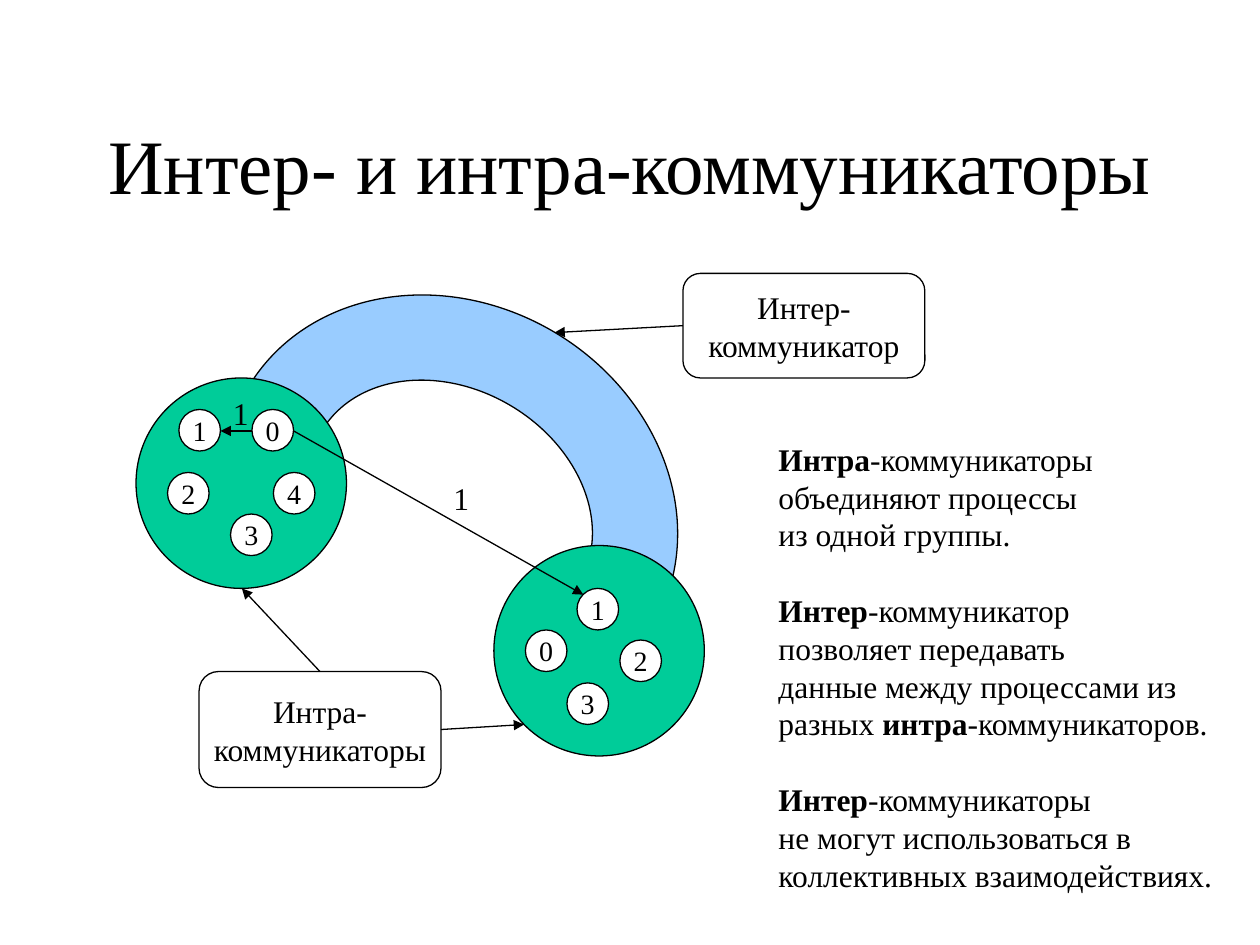
"""Build the slide on inter- and intra-communicators."""
from pptx import Presentation
from pptx.dml.color import RGBColor
from pptx.enum import shapes, text
from pptx.oxml import ns, xmlchemy
from pptx.util import Inches, Pt

FONT = "Times New Roman"
BLACK, WHITE, GREEN, BLUE = "000000", "FFFFFF", "00CC99", "99CCFF"
GROUP_SIZE, PROCESS_SIZE = 1.67, 0.33

TITLE = "Интер- и интра-коммуникаторы"
GROUPS = [(3.92, 4.33), (1.08, 3)]
PROCESSES = [
    ("0", 2, 3.25), ("1", 1.42, 3.25), ("2", 1.33, 3.75),
    ("3", 1.83, 4.08), ("4", 2.17, 3.75),
    ("1", 4.58, 4.67), ("0", 4.17, 5), ("3", 4.5, 5.42), ("2", 4.92, 5.08),
]
CALLOUTS = [
    ("Интра-\vкоммуникаторы", (1.58, 5.33, 1.92, 0.92),
     [(3, (4.16, 5.75)), (0, (1.92, 4.67))]),
    ("Интер-\vкоммуникатор", (5.42, 2.17, 1.92, 0.83), [(1, (4.4, 2.64))]),
]
MESSAGES = [((2, 3.42), (1.75, 3.42)), ((2.33, 3.42), (4.63, 4.72))]
MESSAGE_LABELS = [("1", 3.5, 3.75), ("1", 1.75, 3.08)]
NOTES = [
    [("Интра", True),
     ("-коммуникаторы\vобъединяют процессы\vиз одной группы.", False)],
    [("Интер", True),
     ("-коммуникатор\vпозволяет передавать\vданные между процессами из\vразных ", False),
     ("интра", True), ("-коммуникаторов.", False)],
    [("Интер", True),
     ("-коммуникаторы\vне могут использоваться в\vколлективных взаимодействиях.", False)],
]


def color(value):
    return RGBColor.from_string(value)


def style_run(run, size, bold=False):
    run.font.name, run.font.size, run.font.bold = FONT, Pt(size), bold
    run.font.color.rgb = color(BLACK)


def write(shape, words, size, align=text.PP_ALIGN.CENTER,
          anchor=text.MSO_ANCHOR.MIDDLE, wrap=False):
    frame = shape.text_frame
    frame.word_wrap, frame.vertical_anchor = wrap, anchor
    frame.text = words
    paragraph = frame.paragraphs[0]
    paragraph.alignment = align
    for run in paragraph.runs:
        style_run(run, size)


def outline(line):
    line.color.rgb, line.width = color(BLACK), Pt(0.75)


def add_figure(slide, kind, box, fill=None):
    figure = slide.shapes.add_shape(kind, *map(Inches, box))
    figure.shadow.inherit = False
    if fill:
        figure.fill.solid()
        figure.fill.fore_color.rgb = color(fill)
    else:
        figure.fill.background()
    outline(figure.line)
    return figure


def add_arrow(slide, start, end):
    arrow = slide.shapes.add_connector(
        shapes.MSO_CONNECTOR.STRAIGHT, *map(Inches, (*start, *end)))
    outline(arrow.line)
    tail = xmlchemy.OxmlElement("a:tailEnd")
    tail.set("type", "triangle")
    properties = arrow.element.spPr
    properties.find(ns.qn("a:ln")).append(tail)
    properties.append(xmlchemy.OxmlElement("a:effectLst"))
    return arrow


def add_notes(slide):
    frame = slide.shapes.add_textbox(*map(Inches, (6.08, 4.08, 3.75, 2.42))).text_frame
    frame.word_wrap, frame.vertical_anchor = False, text.MSO_ANCHOR.MIDDLE
    for index, parts in enumerate(NOTES):
        paragraph = frame.add_paragraph() if index else frame.paragraphs[0]
        if index:
            paragraph.space_before = Pt(21.6)
        for words, bold in parts:
            for row, piece in enumerate(words.split("\v")):
                if row:
                    paragraph.add_line_break()
                run = paragraph.add_run()
                run.text = piece
                style_run(run, 18, bold)


def main():
    deck = Presentation()
    deck.slide_width, deck.slide_height = Inches(10), Inches(7.5)
    slide = deck.slides.add_slide(deck.slide_layouts[6])
    kinds = shapes.MSO_SHAPE

    bridge = add_figure(slide, kinds.BLOCK_ARC, (1.71, 2.41, 3.73, 3.23), BLUE)
    bridge.rotation = 30.6
    for index, value in enumerate((93.51, 14.49, 0.21)):
        bridge.adjustments[index] = value
    for left, top in GROUPS:
        add_figure(slide, kinds.OVAL, (left, top, GROUP_SIZE, GROUP_SIZE), GREEN)

    title = slide.shapes.add_textbox(*map(Inches, (0.75, 0.67, 8.5, 1.25)))
    write(title, TITLE, 44, wrap=True)

    for words, box, targets in CALLOUTS:
        callout = add_figure(slide, kinds.ROUNDED_RECTANGLE, box)
        write(callout, words, 18)
        for side, target in targets:
            add_arrow(slide, box[:2], target).begin_connect(callout, side)

    add_notes(slide)

    for rank, left, top in PROCESSES:
        process = add_figure(
            slide, kinds.OVAL, (left, top, PROCESS_SIZE, PROCESS_SIZE), WHITE)
        write(process, rank, 16)
    for start, end in MESSAGES:
        add_arrow(slide, start, end)
    for words, left, top in MESSAGE_LABELS:
        label = slide.shapes.add_textbox(*map(Inches, (left, top, 0.32, 0.4)))
        write(label, words, 18, text.PP_ALIGN.LEFT, text.MSO_ANCHOR.TOP)

    deck.save("out.pptx")


if __name__ == "__main__":
    main()
